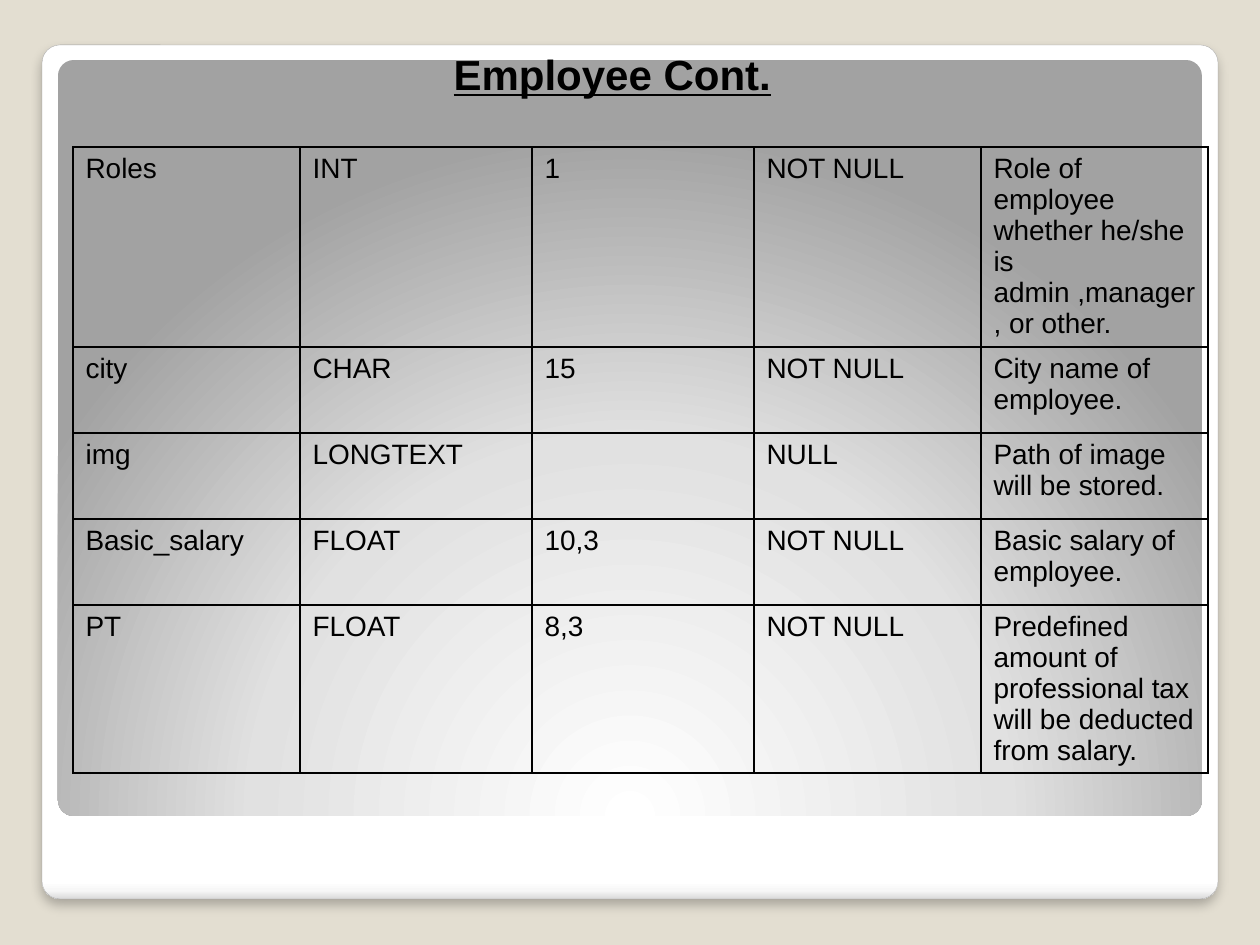
"""Build the employee table slide with its framed background."""
from lxml import etree
from pptx import Presentation
from pptx.dml.color import RGBColor
from pptx.enum.shapes import MSO_SHAPE
from pptx.enum.text import MSO_ANCHOR, PP_ALIGN
from pptx.oxml import parse_xml
from pptx.oxml.ns import nsdecls, qn
from pptx.util import Emu, Pt

ROUNDED = MSO_SHAPE.ROUNDED_RECTANGLE
BOTTOM = MSO_ANCHOR.BOTTOM
LEFT = PP_ALIGN.LEFT

EMU_PER_PX = 914400 / 126
BEIGE = RGBColor(0xE3, 0xDE, 0xD1)
WHITE = RGBColor(0xFF, 0xFF, 0xFF)
MIST = RGBColor(0xF7, 0xF7, 0xF7)
SILVER = RGBColor(0xDA, 0xDA, 0xDA)
LIGHT_GREY = RGBColor(0xE1, 0xE1, 0xE1)
MID_GREY = RGBColor(0xA2, 0xA2, 0xA2)
EDGE_GREY = RGBColor(0xA4, 0xA4, 0xA4)
BLACK = RGBColor(0, 0, 0)

FRAME_STOPS = [(0, WHITE), (98, WHITE), (99, MIST), (100, SILVER)]
PANEL_STOPS = [(0, WHITE), (55, LIGHT_GREY), (100, MID_GREY)]
DOWNWARD = '<a:lin ang="5400000" scaled="0"/>'
FROM_BELOW = (
    '<a:path path="circle">'
    '<a:fillToRect l="50000" t="175000" r="50000" b="-75000"/></a:path>'
)

FIELDS = [
    ("Roles", "INT", "1", "NOT NULL",
     "Role of employee whether he/she is admin ,manager , or other."),
    ("city", "CHAR", "15", "NOT NULL", "City name of employee."),
    ("img", "LONGTEXT", "", "NULL", "Path of image will be stored."),
    ("Basic_salary", "FLOAT", "10,3", "NOT NULL", "Basic salary of employee."),
    ("PT", "FLOAT", "8,3", "NOT NULL",
     "Predefined amount of professional tax will be deducted from salary."),
]
COLUMN_WIDTHS = [227, 232, 222, 227, 227]
ROW_HEIGHTS = [200, 86, 86, 86, 168]


def px(length):
    return Emu(round(length * EMU_PER_PX))


class SlideBuilder:
    """Holds the text style and the slide being built."""

    body_format = {"name": "Arial", "size": Pt(16), "bold": False}
    title_format = {"name": "Arial", "size": Pt(24), "bold": True, "underline": True}

    def __init__(self, slide):
        self.slide = slide

    def background(self, color):
        fill = self.slide.background.fill
        fill.solid()
        fill.fore_color.rgb = color

    def set_text(self, frame, text, font_format):
        paragraph = frame.paragraphs[0]
        paragraph.text = text
        paragraph.alignment = LEFT
        for name, value in font_format.items():
            setattr(paragraph.font, name, value)
        paragraph.font.color.rgb = BLACK

    def panel(self, box, stops, direction, edge=None, shadow=False):
        panel = self.slide.shapes.add_shape(ROUNDED, *map(px, box))
        panel.adjustments[0] = 0.021
        panel.shadow.inherit = False
        properties = panel._element.spPr
        stop_xml = "".join(
            f'<a:gs pos="{position * 1000}"><a:srgbClr val="{color}"/></a:gs>'
            for position, color in stops
        )
        properties.find(qn("a:prstGeom")).addnext(parse_xml(
            f'<a:gradFill {nsdecls("a")} rotWithShape="1">'
            f"<a:gsLst>{stop_xml}</a:gsLst>{direction}</a:gradFill>"
        ))
        if edge:
            panel.line.color.rgb = edge
            panel.line.width = Pt(0.16)
        else:
            panel.line.fill.background()
        if shadow:
            properties.find(qn("a:effectLst")).append(parse_xml(
                f'<a:outerShdw {nsdecls("a")} blurRad="{Pt(6)}" dist="{Pt(4)}" '
                'dir="5400000" algn="t" rotWithShape="0"><a:srgbClr val="000000">'
                '<a:alpha val="25000"/></a:srgbClr></a:outerShdw>'
            ))

    def title(self, box, text):
        title = self.slide.shapes.title
        self.slide.shapes._spTree.append(title._element)
        title.left, title.top, title.width, title.height = map(px, box)
        title.text_frame.vertical_anchor = BOTTOM
        self.set_text(title.text_frame, text, self.title_format)

    def border(self, cell):
        properties = cell._tc.get_or_add_tcPr()
        for index, side in enumerate(("lnL", "lnR", "lnT", "lnB")):
            line = etree.Element(qn(f"a:{side}"), w=str(Pt(1)))
            fill = etree.SubElement(line, qn("a:solidFill"))
            etree.SubElement(fill, qn("a:srgbClr"), val=str(BLACK))
            properties.insert(index, line)

    def table(self, left, top, widths, heights, rows):
        box = (left, top, sum(widths), sum(heights))
        table = self.slide.shapes.add_table(
            len(rows), len(widths), *map(px, box)).table
        table.first_row = table.horz_banding = False
        for column, width in zip(table.columns, widths):
            column.width = px(width)
        for row, height, values in zip(table.rows, heights, rows):
            row.height = px(height)
            for cell, value in zip(row.cells, values):
                cell.fill.background()
                self.border(cell)
                self.set_text(cell.text_frame, value, self.body_format)


def main():
    presentation = Presentation()
    presentation.slide_width, presentation.slide_height = px(1260), px(945)
    layout = presentation.slide_layouts[5]
    builder = SlideBuilder(presentation.slides.add_slide(layout))
    builder.background(BEIGE)
    builder.panel((42, 45, 1176, 854), FRAME_STOPS, DOWNWARD, EDGE_GREY, shadow=True)
    builder.panel((58, 60, 1144, 756), PANEL_STOPS, FROM_BELOW)
    builder.title((441, -21, 536, 126), "Employee Cont.")
    builder.table(73, 147, COLUMN_WIDTHS, ROW_HEIGHTS, FIELDS)
    presentation.save("out.pptx")


if __name__ == "__main__":
    main()
